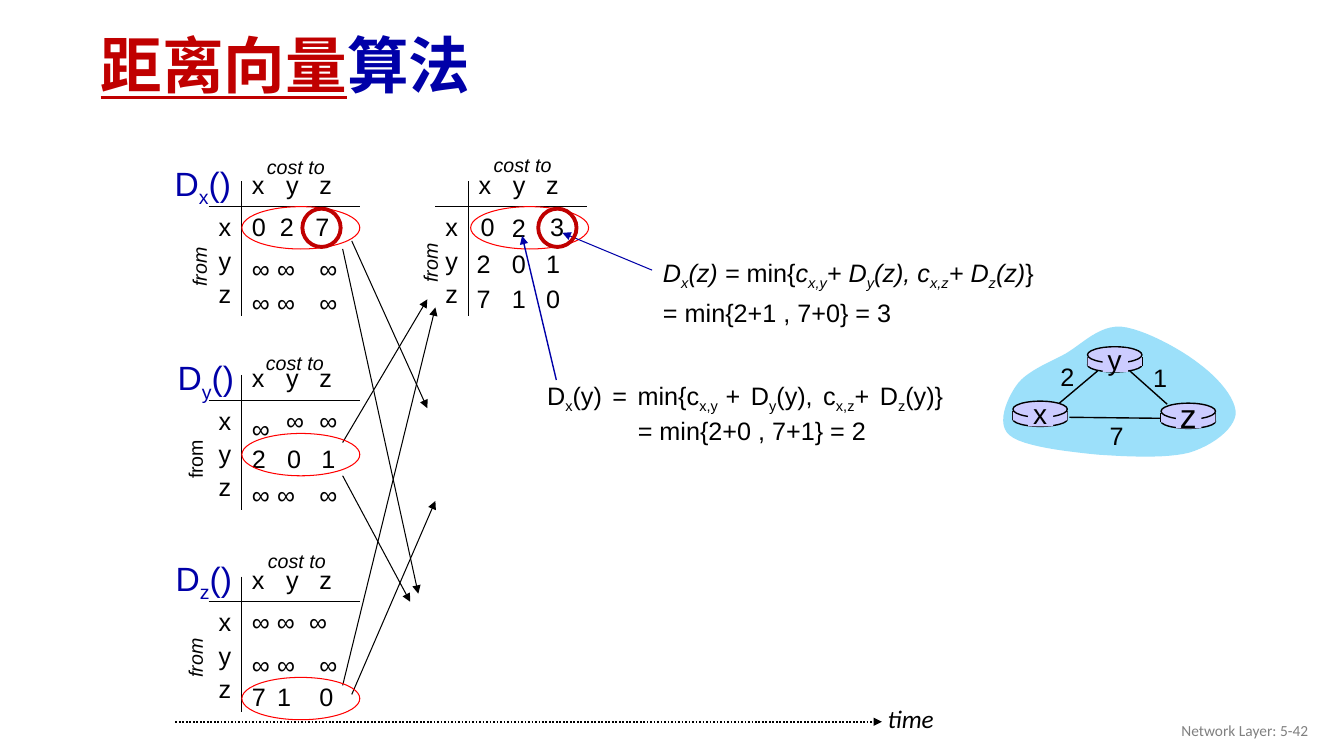
"""Build the distance vector algorithm slide."""
from pptx import Presentation
from pptx.dml.color import RGBColor
from pptx.enum.dml import MSO_LINE
from pptx.enum.shapes import MSO_CONNECTOR, MSO_SHAPE
from pptx.enum.text import MSO_ANCHOR, PP_ALIGN
from pptx.oxml.ns import qn
from pptx.util import Cm, Pt
from lxml import etree

OVAL, RECT = MSO_SHAPE.OVAL, MSO_SHAPE.RECTANGLE
LEFT, CENTER, RIGHT, JUSTIFY = PP_ALIGN.LEFT, PP_ALIGN.CENTER, PP_ALIGN.RIGHT, PP_ALIGN.JUSTIFY
TOP, MIDDLE = MSO_ANCHOR.TOP, MSO_ANCHOR.MIDDLE
STRAIGHT, DOTTED = MSO_CONNECTOR.STRAIGHT, MSO_LINE.ROUND_DOT
BLACK, BLUE, RED, DARK_RED = "000000", "0000A8", "FF0000", "C00000"
LILAC, SKY, GREY = "CCCCFF", "9CE0FA", "808080"

COLUMNS = (0, 0.25, 0.67)
HEADER_TABS, NUMBER_TABS = (0.34, 0.67), (0.35, 0.69)


def spread(dy, values):
    """Return one cell per value, set on the table columns."""
    return [(dx, dy, value, ()) for dx, value in zip(COLUMNS, values)]


TABLES = [
    {"at": (2.4, 2.05), "name": "x", "name_at": (1.61, 1.59), "from": (1.68, 2.48),
     "cost": (2.55, 1.49), "italic": True,
     "cells": [(0, 0, "0\t2\t7", (0.28, 0.63))] + spread(0.41, "∞∞∞") + spread(0.75, "∞∞∞")},
    {"at": (4.65, 2.05), "name": None, "from": (3.97, 2.44),
     "cost": (4.8, 1.47), "italic": True,
     "cells": [(0.02, 0, "0", ()), (0.33, 0.01, "2", ()), (0.71, 0, "3", ()),
               (-0.02, 0.36, "2\t0\t1", NUMBER_TABS), (-0.02, 0.71, "7\t1\t0", NUMBER_TABS)]},
    {"at": (2.4, 3.97), "name": "y", "name_at": (1.64, 3.52), "from": (1.64, 4.39),
     "cost": (2.54, 3.43), "italic": False,
     "cells": [(0.34, 0, "∞", ()), (0.67, 0, "∞", ()),
               (0, 0.08, "∞\n2\t0\t1", NUMBER_TABS)] + spread(0.74, "∞∞∞")},
    {"at": (2.4, 5.97), "name": "z", "name_at": (1.62, 5.51), "from": (1.64, 6.36),
     "cost": (2.56, 5.4), "italic": True,
     "cells": [(0, 0, "∞\t∞\t∞", (0.25, 0.57))] + spread(0.42, "∞∞∞") + spread(0.74, "710")},
]
MESSAGES = [
    (3.49, 2.39, 4.24, 4.05), (3.4, 2.47, 4.15, 5.89), (3.4, 4.39, 4.24, 2.97),
    (3.4, 4.72, 4.07, 5.97), (3.4, 6.8, 4.32, 3.05), (3.49, 6.89, 4.32, 4.97),
]
ROW_OVALS = [(2.4, 2.05), (2.4, 4.3), (2.4, 6.72), (4.67, 2.05)]
RINGS = [(3, 2.07), (5.34, 2.07)]
CLOUD = [
    (10.08, 3.83), (10.17, 3.69), (10.4, 3.6), (10.57, 3.51), (10.74, 3.41), (10.9, 3.23),
    (11.12, 3.24), (11.34, 3.26), (11.71, 3.46), (11.9, 3.61), (12.09, 3.75), (12.27, 3.96),
    (12.26, 4.11), (12.24, 4.26), (12.03, 4.42), (11.8, 4.49), (11.57, 4.55), (11.18, 4.53),
    (10.89, 4.51), (10.59, 4.48), (10.15, 4.43), (10.02, 4.32), (9.88, 4.21), (9.99, 3.96),
    (10.08, 3.83),
]
EDGES = [(10.51, 4, 10.89, 3.68), (11.21, 3.68, 11.58, 4.01), (11.54, 4.15, 10.61, 4.14)]
COSTS = [("1", 11.34, 3.55), ("2", 10.42, 3.54), ("7", 10.91, 4.12)]
ROUTERS = [("x", 10.05, 3.98, 20), ("z", 11.52, 4, 24), ("y", 10.79, 3.44, 20)]
MIN_Y = "D_x_(y) = min{c_x,y _+ D_y_(y), c_x,z_+ D_z_(y)} "
MIN_Z = [("D_x_(z) = ", True), ("min{", False),
         ("c_x,y_+ D_y_(z), c_x,z_+ D_z_(z)", True), ("}", False)]

prs = Presentation()
prs.slide_width, prs.slide_height = Cm(33.87), Cm(19.05)
s = prs.slides.add_slide(prs.slide_layouts[6])


def inch(v):
    """Turn inches into a length."""
    return Cm(2.54 * v)


def rgb(value):
    """Turn a hex string into a colour."""
    return RGBColor.from_string(value)


def put(p, markup, size=18, color=BLACK, font="Arial", italic=False, bold=False, underline=False):
    """Add runs to a paragraph; text between underscores is subscript."""
    for i, part in enumerate(markup.split("_")):
        if part:
            r = p.add_run()
            r.text = part
            r.font.size, r.font.name, r.font.color.rgb = Pt(size), font, rgb(color)
            r.font.italic, r.font.bold, r.font.underline = italic, bold, underline
            if i % 2:
                r.font._element.set("baseline", "-25000")


def box(x, y, w, h, align=LEFT, anchor=TOP):
    """Add a text box and return its frame."""
    sp = s.shapes.add_textbox(inch(x), inch(y), inch(w), inch(h))
    tf = sp.text_frame
    tf.word_wrap, tf.vertical_anchor = True, anchor
    tf.margin_left = inch(0.1 if align in (LEFT, JUSTIFY) else 0)
    tf.margin_right = inch(0.1 if align in (RIGHT, JUSTIFY) else 0)
    tf.paragraphs[0].alignment = align
    return tf


def add_tabs(p, stops):
    """Give a paragraph left tab stops."""
    tabs = etree.SubElement(p._p.get_or_add_pPr(), qn("a:tabLst"))
    for stop in stops:
        etree.SubElement(tabs, qn("a:tab"), pos=str(inch(stop)), algn="l")


def label(x, y, w, h, text, tabs=(), align=LEFT, anchor=TOP, **style):
    """Add a text box with one paragraph per line of text."""
    tf = box(x, y, w, h, align, anchor)
    for i, row in enumerate(text.split("\n")):
        p = tf.add_paragraph() if i else tf.paragraphs[0]
        if "\t" in row:
            add_tabs(p, tabs)
        put(p, row, **style)
    return tf


def line(x1, y1, x2, y2, color=BLACK, width=0.75, arrow=False, dash=None):
    """Draw a straight line, with an arrowhead at its end if asked."""
    c = s.shapes.add_connector(STRAIGHT, inch(x1), inch(y1), inch(x2), inch(y2))
    c.line.color.rgb, c.line.width = rgb(color), Pt(width)
    if dash:
        c.line.dash_style = dash
    spPr = c._element.spPr
    if arrow:
        etree.SubElement(spPr.find(qn("a:ln")), qn("a:tailEnd"), type="triangle")
    etree.SubElement(spPr, qn("a:effectLst"))


def paint(sp, fill=None, color=None, width=0.75):
    """Set the fill and outline of a shape."""
    sp.shadow.inherit = False
    if fill:
        sp.fill.solid()
        sp.fill.fore_color.rgb = rgb(fill)
    else:
        sp.fill.background()
    if color:
        sp.line.color.rgb, sp.line.width = rgb(color), Pt(width)
    else:
        sp.line.fill.background()


def shape(kind, x, y, w, h, *look):
    """Add a painted preset shape."""
    paint(s.shapes.add_shape(kind, inch(x), inch(y), inch(w), inch(h)), *look)


def cloud(points, steps=12):
    """Draw a closed outline through a chain of cubic curves."""
    outline = []
    for i in range(0, len(points) - 1, 3):
        for k in range(steps):
            t = k / steps
            weights = ((1 - t) ** 3, 3 * t * (1 - t) ** 2, 3 * t * t * (1 - t), t ** 3)
            outline.append(tuple(inch(sum(w * q[axis] for w, q in zip(weights, points[i:i + 4])))
                                 for axis in (0, 1)))
    fb = s.shapes.build_freeform(*outline[0])
    fb.add_line_segments(outline[1:], close=True)
    paint(fb.convert_to_shape(), SKY)


def cost_table(t):
    """Draw one distance table with its axes, labels and cells."""
    x, y = t["at"]
    line(x, y - 0.25, x, y + 1.09)
    line(x - 0.33, y, x + 1.17, y)
    label(x, y - 0.42, 1.1, 0.4, "x\ty\tz", HEADER_TABS)
    for i, node in enumerate("xyz"):
        label(x - 0.33, y + i * 0.33, 0.33, 0.4, node)
    for dx, dy, text, tabs in t["cells"]:
        label(x + dx, y + dy, 1.1 if tabs else 0.38, 0.7 if "\n" in text else 0.4, text, tabs)
    label(*t["cost"], 0.77, 0.33, "cost to", size=14, italic=True)
    tf = label(*t["from"], 0.59, 0.33, "from", size=14, italic=t["italic"])
    tf._parent.rotation = 270
    if t["name"]:
        tf = label(*t["name_at"], 0.78, 0.44, f"D_{t['name']}_()", align=RIGHT, size=24, color=BLUE)
        tf.paragraphs[0].line_spacing = 0.85


def router(name, x, y, size):
    """Draw a router disc with its name."""
    shape(OVAL, x, y + 0.11, 0.54, 0.14, LILAC, BLACK, 1)
    for side in (x, x + 0.54):
        line(side, y + 0.1, side, y + 0.19, width=1)
    shape(RECT, x, y + 0.1, 0.54, 0.09, LILAC)
    shape(OVAL, x, y, 0.54, 0.16, LILAC, BLACK, 1)
    shape(RECT, x + 0.15, y + 0.02, 0.25, 0.23, LILAC)
    label(x, y - 0.13, 0.54, 0.5, name, align=CENTER, anchor=MIDDLE, size=size)


p = box(0.9, 0.19, 11.91, 0.98, anchor=MIDDLE).paragraphs[0]
p.line_spacing = 0.9
put(p, "距离向量", 44, DARK_RED, "Calibri", bold=True, underline=True)
put(p, "算法", 44, BLUE, "Calibri", bold=True)
label(10.08, 7.05, 3, 0.4, "Network Layer: 5-42", align=RIGHT, anchor=MIDDLE,
      size=11, color=GREY, font="Calibri")
for table in TABLES:
    cost_table(table)
for ends in MESSAGES:
    line(*ends, arrow=True)
line(1.74, 7.16, 8.75, 7.16, width=1.25, arrow=True, dash=DOTTED)
label(8.71, 6.93, 0.67, 0.4, "time", font="Calibri", italic=True)

cloud(CLOUD)
for ends in EDGES:
    line(*ends, width=1)
for node in ROUTERS:
    router(*node)
for cost, x, y in COSTS:
    label(x, y, 0.34, 0.4, cost, align=CENTER)

for x, y in ROW_OVALS:
    shape(OVAL, x, y, 1.17, 0.42, None, RED)
p = box(5.33, 3.74, 4.23, 0.71, JUSTIFY, MIDDLE).paragraphs[0]
add_tabs(p, [0.9])
put(p, MIN_Y)
p.add_line_break()
put(p, "\t= min{2+0 , 7+1} = 2")
line(5.52, 3.77, 5.18, 2.34, BLUE, 1, arrow=True)
tf = box(6.48, 2.47, 4, 0.79, anchor=MIDDLE)
for text, italic in MIN_Z:
    put(tf.paragraphs[0], text, italic=italic)
put(tf.add_paragraph(), "= min{2+1 , 7+0} = 3")
for p in tf.paragraphs:
    p.line_spacing = 1.2
line(6.47, 2.68, 5.58, 2.31, BLUE, arrow=True)
for x, y in RINGS:
    shape(OVAL, x, y, 0.38, 0.38, None, DARK_RED, 2.75)

prs.save("out.pptx")
